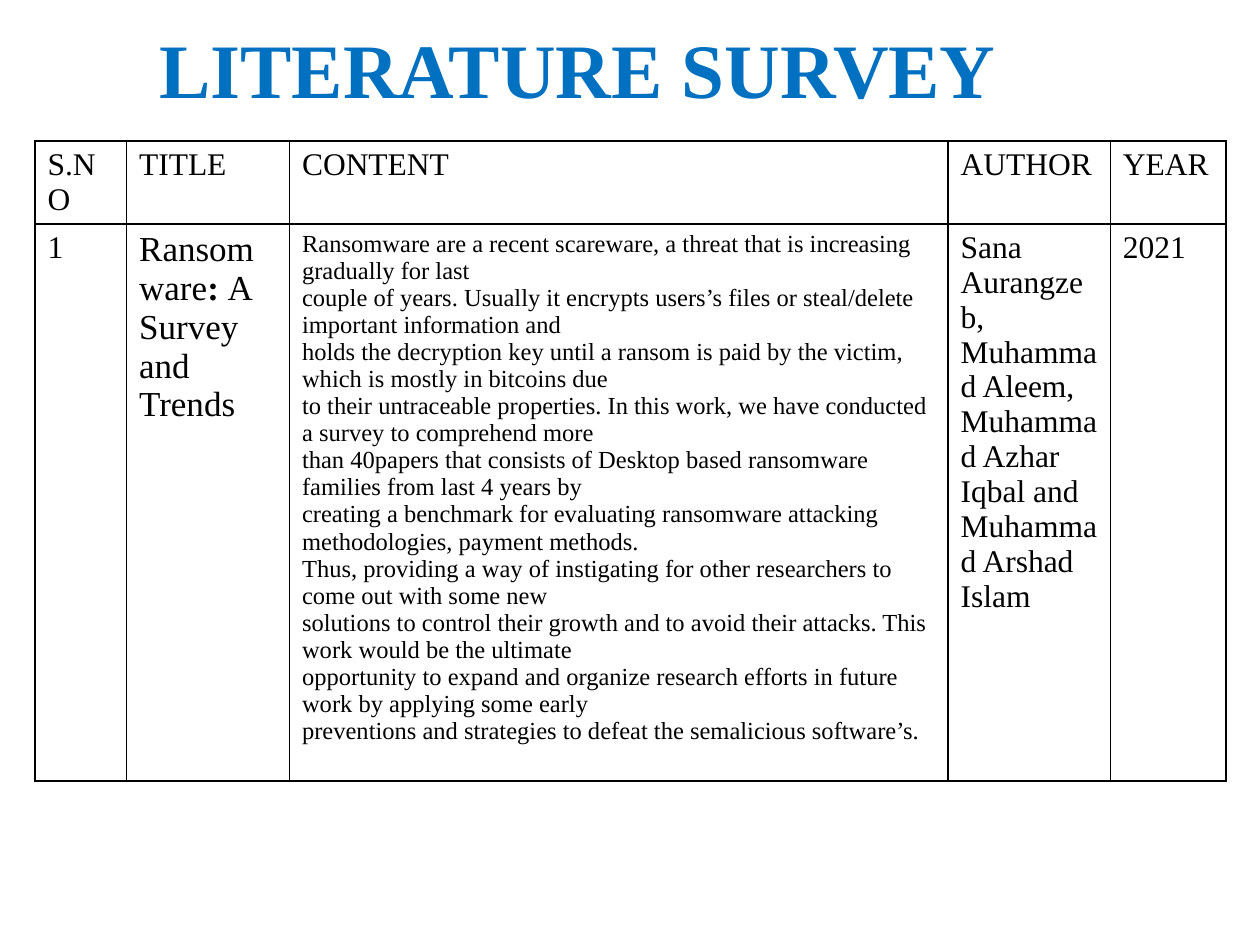
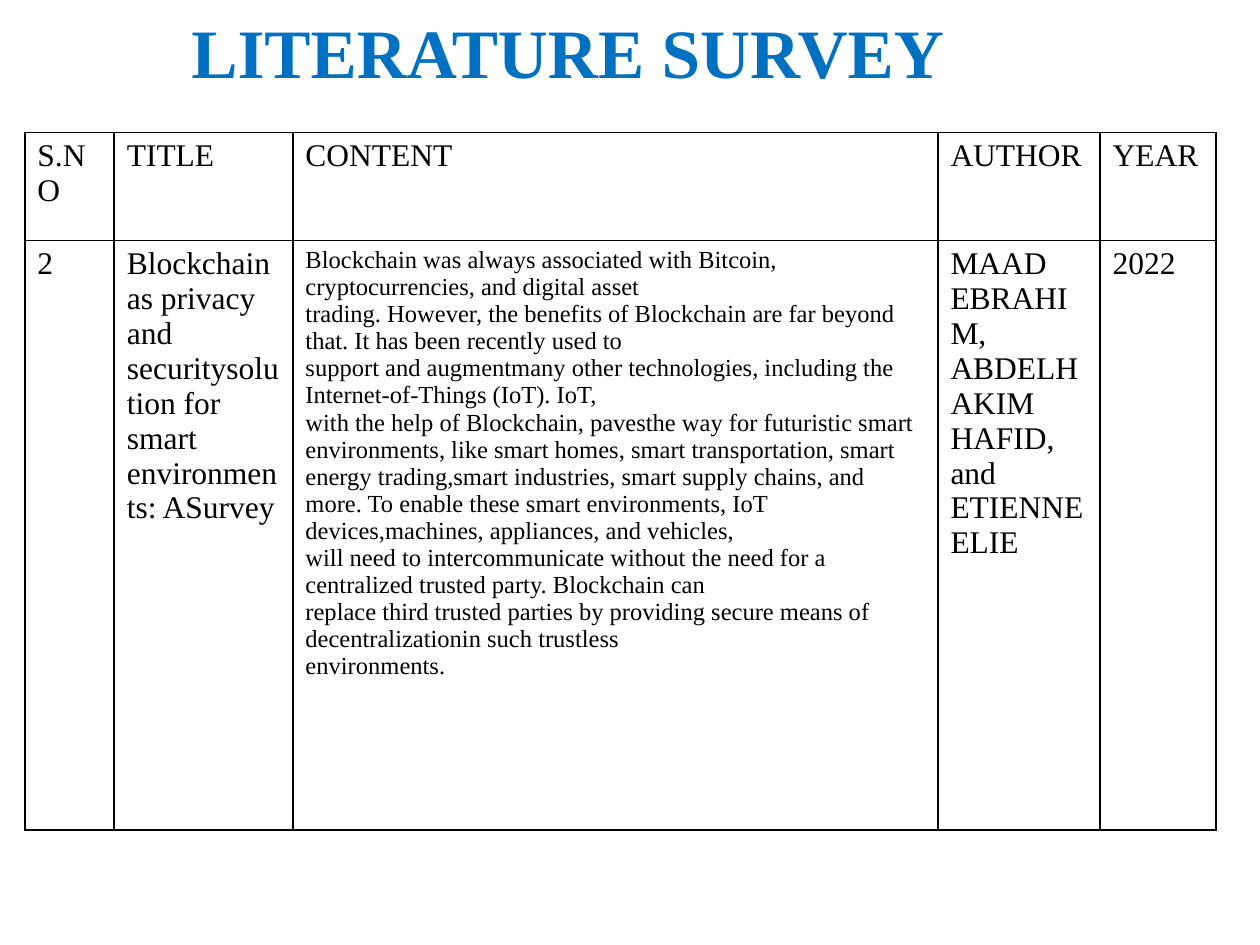
from dataclasses import dataclass

from lxml.etree import SubElement
from pptx import Presentation
from pptx.dml.color import RGBColor
from pptx.enum.text import MSO_ANCHOR, MSO_AUTO_SIZE, PP_ALIGN
from pptx.oxml.ns import qn
from pptx.util import Pt


@dataclass(frozen=True)
class Theme:
    """Colours, font and type sizes that the slides share."""
    font: str = "Times New Roman"
    title_color: RGBColor = RGBColor(0x00, 0x70, 0xC0)
    text_color: RGBColor = RGBColor(0x00, 0x00, 0x00)
    label_size: float = 18
    paper_size: float = 20
    content_size: float = 14
    border_width: float = 1


@dataclass(frozen=True)
class Survey:
    """One surveyed paper with the geometry of its slide, in points."""
    left: float
    title_top: float
    title_size: float
    table_top: float
    column_widths: tuple
    row_heights: tuple
    paper_size: float
    number: str
    paper: list
    content: list
    authors: list
    year: str


THEME = Theme()
TITLE = "LITERATURE SURVEY"
TITLE_WIDTH, TITLE_HEIGHT = 620.6, 56
HEADERS = ("S.NO", "TITLE", "CONTENT", "AUTHOR", "YEAR")

RANSOMWARE = Survey(
    left=20, title_top=14, title_size=44, table_top=80.6,
    column_widths=(52.3, 93.1, 376.4, 92.7, 66.2), row_heights=(47.4, 318.2),
    paper_size=THEME.paper_size,
    number="1",
    paper=[(("Ransomware", False), (": ", True), ("A Survey and Trends", False))],
    content=[
        "Ransomware are a recent scareware, a threat that is increasing gradually for last",
        "couple of years. Usually it encrypts users’s files or steal/delete important information and",
        "holds the decryption key until a ransom is paid by the victim, which is mostly in bitcoins due",
        "to their untraceable properties. In this work, we have conducted a survey to comprehend more",
        "than 40papers that consists of Desktop based ransomware families from last 4 years by",
        "creating a benchmark for evaluating ransomware attacking methodologies, payment methods.",
        "Thus, providing a way of instigating for other researchers to come out with some new",
        "solutions to control their growth and to avoid their attacks. This work would be the ultimate",
        "opportunity to expand and organize research efforts in future work by applying some early",
        "preventions and strategies to defeat the semalicious software’s.",
    ],
    authors=["Sana Aurangzeb, Muhammad Aleem, Muhammad Azhar Iqbal and",
             "Muhammad Arshad Islam"],
    year="2021",
)

BLOCKCHAIN = Survey(
    left=14.2, title_top=4, title_size=39.6, table_top=75.6,
    column_widths=(51.1, 102.1, 368.6, 92.7, 66.2), row_heights=(61.8, 336.8),
    paper_size=THEME.label_size,
    number="2",
    paper=["Blockchain as privacy and securitysolution for smart environments: ASurvey"],
    content=[
        "Blockchain was always associated with Bitcoin, cryptocurrencies, and digital asset",
        "trading. However, the benefits of Blockchain are far beyond that. It has been recently used to",
        "support and augmentmany other technologies, including the Internet-of-Things (IoT). IoT,",
        "with the help of Blockchain, pavesthe way for futuristic smart environments, like smart homes, "
        "smart transportation, smart energy trading,smart industries, smart supply chains, and",
        "more. To enable these smart environments, IoT devices,machines, appliances, and vehicles,",
        "will need to intercommunicate without the need for a centralized trusted party. Blockchain can",
        "replace third trusted parties by providing secure means of decentralizationin such trustless",
        "environments.",
    ],
    authors=["MAAD EBRAHIM, ABDELHAKIM HAFID, and ETIENNE ELIE"],
    year="2022",
)


def style_font(font, size, color):
    """Apply the shared typeface with a size and colour."""
    font.name = THEME.font
    font.size = Pt(size)
    font.color.rgb = color


def add_title(slide, survey):
    """Place and format the title placeholder."""
    title = slide.shapes.title
    title.left, title.top = Pt(survey.left), Pt(survey.title_top)
    title.width, title.height = Pt(TITLE_WIDTH), Pt(TITLE_HEIGHT)
    frame = title.text_frame
    frame.text = TITLE
    frame.word_wrap = True
    frame.auto_size = MSO_AUTO_SIZE.NONE
    frame.vertical_anchor = MSO_ANCHOR.MIDDLE
    paragraph = frame.paragraphs[0]
    paragraph.alignment = PP_ALIGN.CENTER
    paragraph.line_spacing = 0.9
    style_font(paragraph.font, survey.title_size, THEME.title_color)
    paragraph.font.bold = True


def add_borders(cell):
    """Draw a solid line on all four sides of a cell."""
    properties = cell._tc.get_or_add_tcPr()
    for position, side in enumerate(("a:lnL", "a:lnR", "a:lnT", "a:lnB")):
        line = SubElement(properties, qn(side), w=str(Pt(THEME.border_width)))
        fill = SubElement(line, qn("a:solidFill"))
        SubElement(fill, qn("a:srgbClr"), val=str(THEME.text_color))
        properties.insert(position, line)


def fill_cell(cell, paragraphs, size):
    """Write paragraphs, each plain text or (text, bold) runs, into a cell."""
    cell.fill.background()
    add_borders(cell)
    frame = cell.text_frame
    for index, content in enumerate(paragraphs):
        paragraph = frame.add_paragraph() if index else frame.paragraphs[0]
        style_font(paragraph.font, size, THEME.text_color)
        runs = [(content, False)] if isinstance(content, str) else content
        for text, bold in runs:
            run = paragraph.add_run()
            run.text = text
            run.font.bold = bold


def add_survey_table(slide, survey):
    """Add the table with a header row and one paper."""
    widths, heights = survey.column_widths, survey.row_heights
    table = slide.shapes.add_table(
        len(heights), len(widths), Pt(survey.left), Pt(survey.table_top),
        Pt(sum(widths)), Pt(sum(heights))).table
    table.first_row = table.horz_banding = False
    for column, width in zip(table.columns, widths):
        column.width = Pt(width)
    for row, height in zip(table.rows, heights):
        row.height = Pt(height)
    label = THEME.label_size
    entries = (([survey.number], label), (survey.paper, survey.paper_size),
               (survey.content, THEME.content_size), (survey.authors, label),
               ([survey.year], label))
    for column, (header, (paragraphs, size)) in enumerate(zip(HEADERS, entries)):
        fill_cell(table.cell(0, column), [header], label)
        fill_cell(table.cell(1, column), paragraphs, size)


def main():
    """Build one slide for each surveyed paper."""
    presentation = Presentation()
    presentation.slide_width, presentation.slide_height = Pt(720), Pt(540)
    title_only = presentation.slide_layouts[5]
    for survey in (RANSOMWARE, BLOCKCHAIN):
        slide = presentation.slides.add_slide(title_only)
        add_title(slide, survey)
        add_survey_table(slide, survey)
    presentation.save("out.pptx")


if __name__ == "__main__":
    main()
